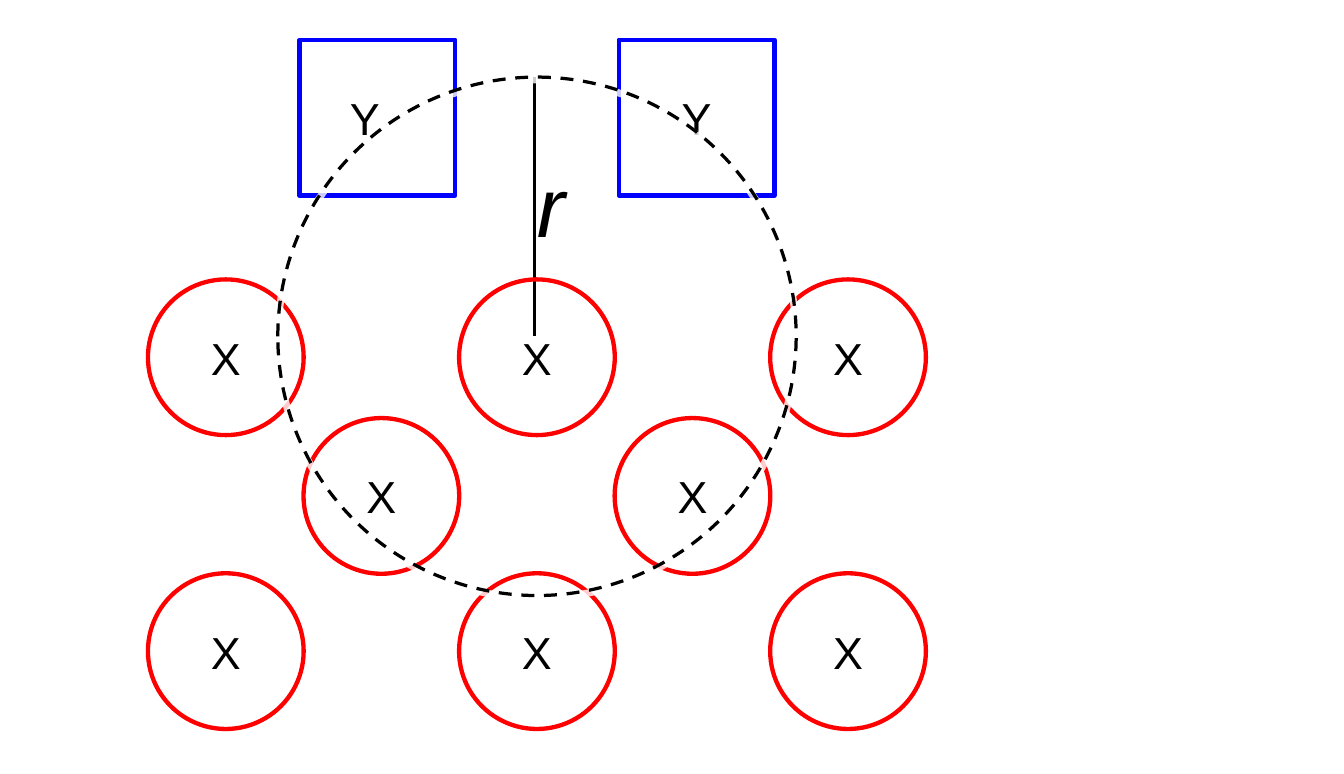
from lxml import etree
from pptx import Presentation
from pptx.dml.color import RGBColor
from pptx.enum.dml import MSO_LINE
from pptx.enum.shapes import MSO_CONNECTOR, MSO_SHAPE
from pptx.enum.text import MSO_ANCHOR, MSO_AUTO_SIZE, PP_ALIGN
from pptx.oxml.ns import qn
from pptx.util import Pt

OVAL, RECT = MSO_SHAPE.OVAL, MSO_SHAPE.RECTANGLE
STRAIGHT, DASH = MSO_CONNECTOR.STRAIGHT, MSO_LINE.DASH
MIDDLE, CENTER = MSO_ANCHOR.MIDDLE, PP_ALIGN.CENTER
GROW = MSO_AUTO_SIZE.SHAPE_TO_FIT_TEXT

# Content: rows of X as (top, occupied columns), Y squares as (left, right inset)
X_ROWS = [(388.8, (0, 2, 4)), (581.76, (1, 3)), (797.76, (0, 2, 4))]
Y_SQUARES = [(416.88, 42), (861.12, 7.2)]
RADIUS_LABEL = "r"

# Layout
SLIDE_W, SLIDE_H = 1870.56, 1077.12
X_LEFT, X_STEP, Y_TOP, ITEM = 205.92, 216.5, 55.44, 216.72
RING_LEFT, RING_TOP, RING_SIZE, HALO_DROP = 386.64, 107.28, 721.44, 3.6
RADIUS_X, RADIUS_END = 743.76, 468

THEME = {
    "font": "Arial",
    "black": RGBColor(0, 0, 0),
    "white": RGBColor(255, 255, 255),
    "red": RGBColor(255, 0, 0),
    "blue": RGBColor(0, 0, 255),
    "letter": 62.4,
    "radius": 116.9,
    "outline": 6,
    "thin": 4.5,
    "halo": 10,
}


def set_attrs(obj, values):
    for name, value in values.items():
        setattr(obj, name, value)


def style_line(line, color, width):
    line.color.rgb = THEME[color]
    line.width = Pt(THEME[width])


def write(tf, text, size, italic=False):
    p = tf.paragraphs[0]
    r = p.add_run()
    r.text = text
    set_attrs(r.font, {"name": THEME["font"], "size": Pt(THEME[size]), "italic": italic})
    r.font.color.rgb = THEME["black"]
    return p


def add_outline(s, kind, left, top, size, color, width):
    sp = s.shapes.add_shape(kind, Pt(left), Pt(top), Pt(size), Pt(size))
    sp.shadow.inherit = False
    sp.fill.background()
    style_line(sp.line, color, width)
    return sp


def add_item(s, kind, left, top, color, text, inset=7.2):
    sp = add_outline(s, kind, left, top, ITEM, color, "outline")
    set_attrs(sp.text_frame, {"vertical_anchor": MIDDLE, "margin_right": Pt(inset)})
    write(sp.text_frame, text, "letter").alignment = CENTER


prs = Presentation()
set_attrs(prs, {"slide_width": Pt(SLIDE_W), "slide_height": Pt(SLIDE_H)})
s = prs.slides.add_slide(prs.slide_layouts[6])

# Radius line
radius = s.shapes.add_connector(
    STRAIGHT, Pt(RADIUS_X), Pt(RING_TOP), Pt(RADIUS_X), Pt(RADIUS_END))
style_line(radius.line, "black", "thin")
etree.SubElement(radius._element.spPr, qn("a:effectLst"))

# X circles and Y squares
for top, columns in X_ROWS:
    for column in columns:
        add_item(s, OVAL, X_LEFT + column * X_STEP, top, "red", "X")
for left, inset in Y_SQUARES:
    add_item(s, RECT, left, Y_TOP, "blue", "Y", inset)

# Neighbourhood ring over a translucent white halo
halo = add_outline(s, OVAL, RING_LEFT, RING_TOP + HALO_DROP, RING_SIZE, "white", "halo")
halo_color = halo.line._ln.find(".//" + qn("a:srgbClr"))
etree.SubElement(halo_color, qn("a:alpha"), val="80000")
ring = add_outline(s, OVAL, RING_LEFT, RING_TOP, RING_SIZE, "black", "thin")
ring.line.dash_style = DASH

# Radius label
label = s.shapes.add_textbox(Pt(740.16), Pt(200.16), Pt(54), Pt(149.04))
set_attrs(label.text_frame, {
    "word_wrap": False, "auto_size": GROW,
    "margin_top": Pt(14), "margin_bottom": Pt(0),
})
write(label.text_frame, RADIUS_LABEL, "radius", italic=True)

prs.save("out.pptx")
